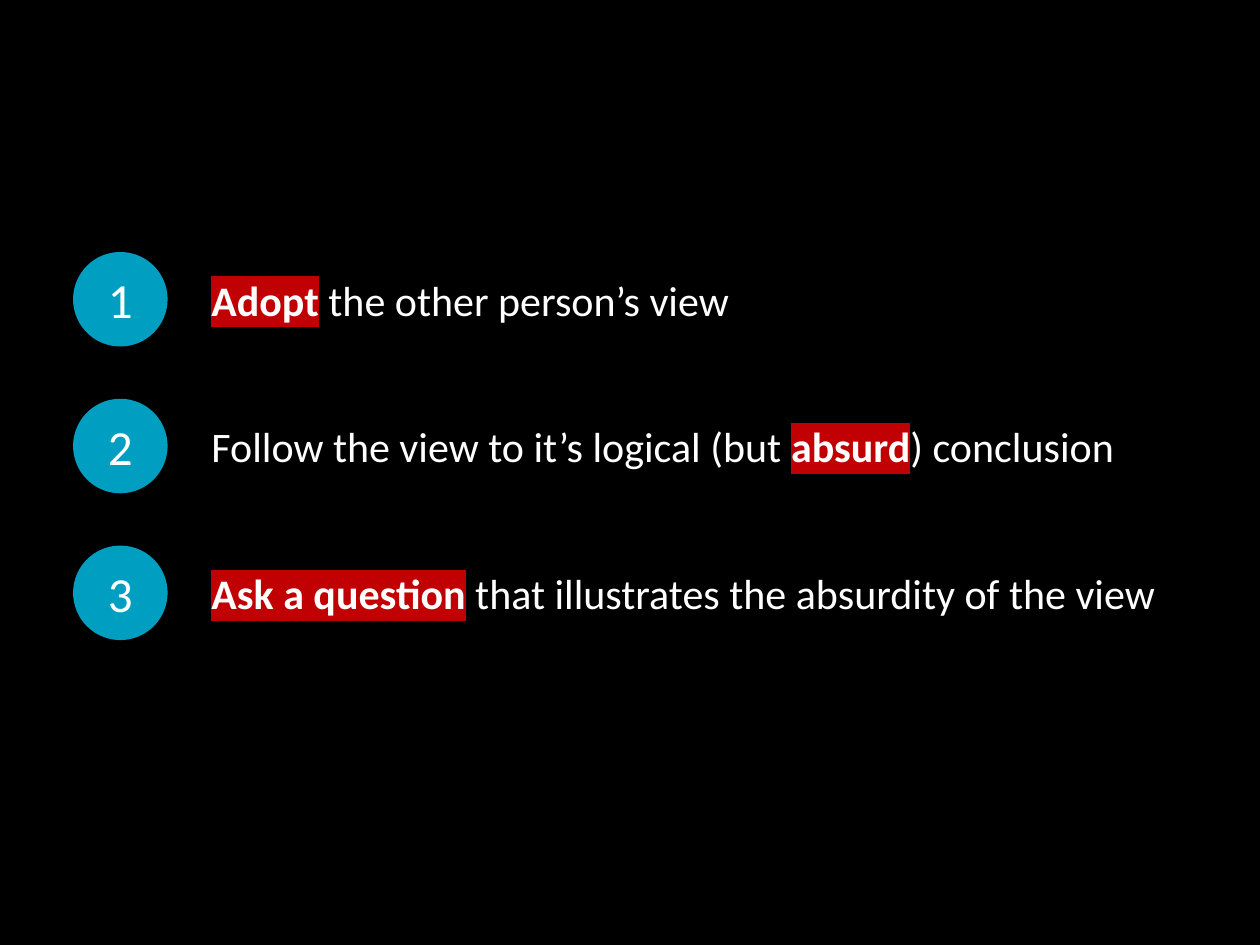
from pptx import Presentation
from pptx.dml.color import RGBColor
from pptx.enum.shapes import MSO_SHAPE
from pptx.enum.text import MSO_ANCHOR, PP_ALIGN
from pptx.oxml.ns import qn
from pptx.util import Inches, Pt
from lxml import etree

OVAL = MSO_SHAPE.OVAL
MIDDLE = MSO_ANCHOR.MIDDLE
LEFT, CENTER = PP_ALIGN.LEFT, PP_ALIGN.CENTER

COLORS = {"background": "000000", "circle": "009EC0", "text": "FFFFFF", "highlight": "C00002"}

# Each step is a list of (text, emphasized) runs
STEPS = [
    [("Adopt", True), (" the other person’s view", False)],
    [("Follow the view to it’s logical (but ", False), ("absurd", True), (") conclusion", False)],
    [("Ask a question", True), (" that illustrates the absurdity of the view", False)],
]
FIRST_TOP, LAST_TOP = 2, 4.33
ROW_HEIGHT = 0.75


class StepSlide:
    """Holds the text style and the current slide."""

    def __init__(self, presentation):
        self.font_name = "Calibri"
        self.number_size = Pt(28)
        self.step_size = Pt(24)
        self.slide = presentation.slides.add_slide(presentation.slide_layouts[6])
        fill = self.slide.background.fill
        fill.solid()
        fill.fore_color.rgb = RGBColor.from_string(COLORS["background"])

    def fill_text(self, shape, runs, size, alignment):
        frame = shape.text_frame
        for name, value in {"word_wrap": True, "vertical_anchor": MIDDLE}.items():
            setattr(frame, name, value)
        paragraph = frame.paragraphs[0]
        paragraph.alignment = alignment
        for text, emphasized in runs:
            run = paragraph.add_run()
            run.text = text
            font_format = {"name": self.font_name, "size": size, "bold": emphasized}
            for name, value in font_format.items():
                setattr(run.font, name, value)
            run.font.color.rgb = RGBColor.from_string(COLORS["text"])
            if emphasized:
                self.highlight(run)

    def highlight(self, run):
        # The highlight element belongs directly after the text fill
        highlight = etree.Element(qn("a:highlight"))
        etree.SubElement(highlight, qn("a:srgbClr"), val=COLORS["highlight"])
        run.font._element.find(qn("a:solidFill")).addnext(highlight)

    def add_circle(self, group, number, top):
        shape = group.shapes.add_shape(
            OVAL, Inches(0.58), Inches(top), Inches(ROW_HEIGHT), Inches(ROW_HEIGHT))
        shape.shadow.inherit = False
        shape.fill.solid()
        shape.fill.fore_color.rgb = RGBColor.from_string(COLORS["circle"])
        shape.line.fill.background()
        self.fill_text(shape, [(str(number), False)], self.number_size, CENTER)

    def add_text(self, group, runs, top):
        shape = group.shapes.add_textbox(
            Inches(1.58), Inches(top), Inches(7.75), Inches(ROW_HEIGHT))
        self.fill_text(shape, runs, self.step_size, LEFT)

    def add_step(self, number, runs, top):
        group = self.slide.shapes.add_group_shape()
        self.add_circle(group, number, top)
        self.add_text(group, runs, top)


def main():
    presentation = Presentation()
    presentation.slide_width = Inches(10)
    presentation.slide_height = Inches(7.5)
    step_slide = StepSlide(presentation)

    # Numbered steps, evenly spaced down the slide
    pitch = (LAST_TOP - FIRST_TOP) / (len(STEPS) - 1)
    for index, runs in enumerate(STEPS):
        step_slide.add_step(index + 1, runs, FIRST_TOP + index * pitch)

    presentation.save("out.pptx")


if __name__ == "__main__":
    main()
